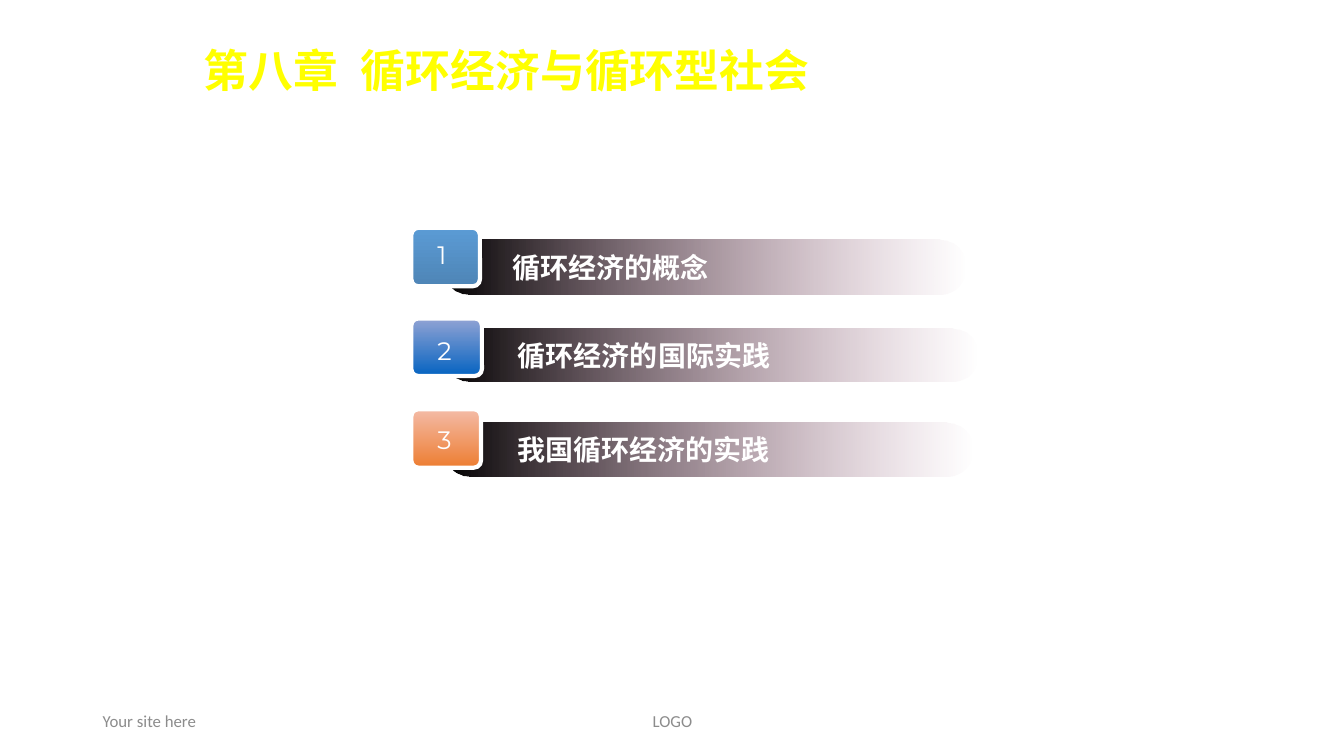
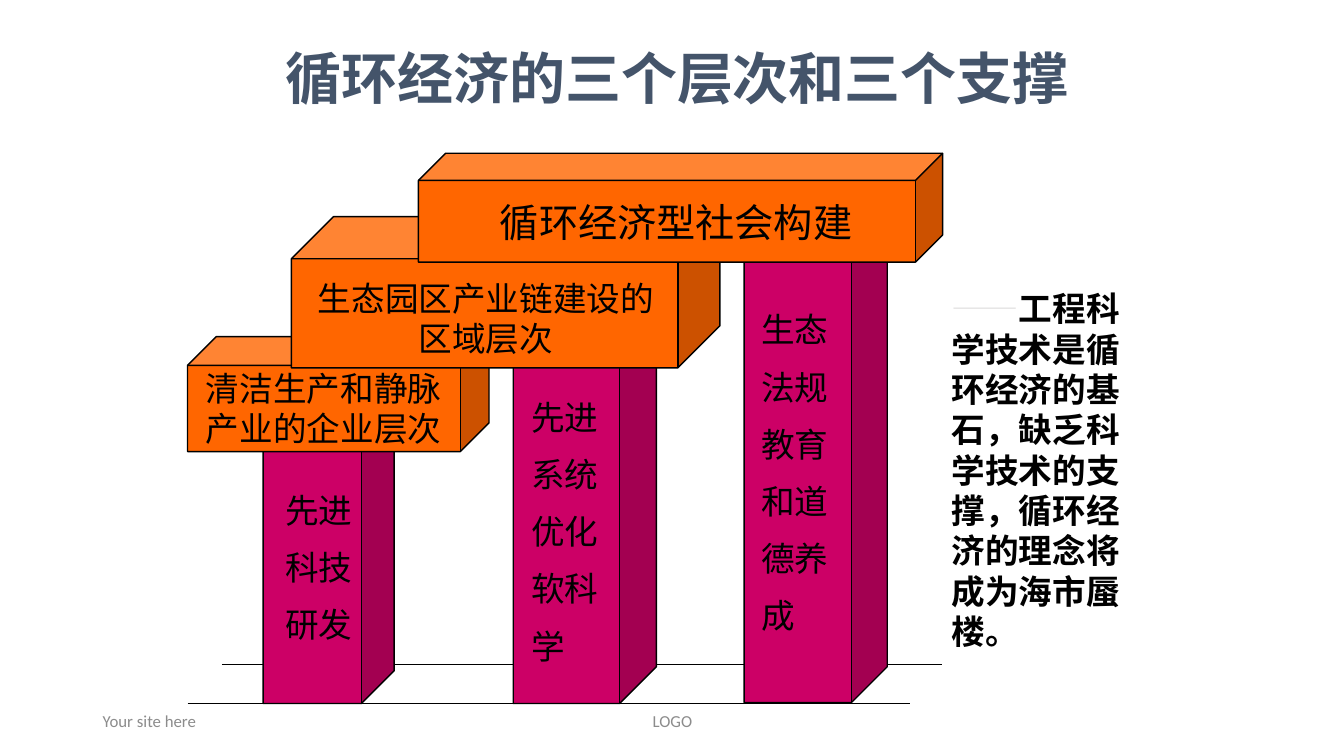
"""Build two slides on the circular economy and the circular society."""
from lxml import etree
from pptx import Presentation
from pptx.dml.color import RGBColor
from pptx.enum.lang import MSO_LANGUAGE_ID
from pptx.enum.shapes import MSO_CONNECTOR, MSO_SHAPE
from pptx.enum.text import MSO_ANCHOR, MSO_AUTO_SIZE, PP_ALIGN
from pptx.oxml import parse_xml
from pptx.oxml.ns import nsdecls, qn
from pptx.util import Inches, Pt

LEFT, CENTER = PP_ALIGN.LEFT, PP_ALIGN.CENTER
TOP, MIDDLE = MSO_ANCHOR.TOP, MSO_ANCHOR.MIDDLE
ROUNDED, CUBE = MSO_SHAPE.ROUNDED_RECTANGLE, MSO_SHAPE.CUBE
STRAIGHT = MSO_CONNECTOR.STRAIGHT
CHINESE = MSO_LANGUAGE_ID.SIMPLIFIED_CHINESE
NO_FIT = MSO_AUTO_SIZE.NONE

WIDTH, HEIGHT = 13.33, 7.5
SERIF = "Times New Roman"
BLACK, WHITE, GREY, PALE = "000000", "FFFFFF", "8C8C8C", "E7E6E6"
YELLOW, SLATE, PLUM = "FFFF00", "44546A", "954F72"
MAGENTA, ORANGE = "CC0066", "FF6600"

FOOTERS = [("LOGO", (4.42, 6.95, 4.5, 0.4), CENTER),
           ("Your site here", (0.92, 6.95, 3, 0.4), LEFT)]

CHAPTER = ["第八章", " ", "循环经济与循环型社会"]
SECTIONS = [
    dict(title="循环经济的概念", bar=(4.39, 2.38, 5.2, 0.54), indent=0.61,
         badge=(4.08, 2.26, 0.68, 0.58), number_top=2.33,
         colors=("5B9BD5", "4E85B6"), gloss=("BED0E9", "5B9BD5")),
    dict(title="循环经济的国际实践", bar=(4.4, 3.26, 5.3, 0.52), indent=0.66,
         badge=(4.08, 3.16, 0.7, 0.57), number_top=3.28,
         colors=("91A3D4", "0563C1"), gloss=("C9D0E7", "0563C1")),
    dict(title="我国循环经济的实践", bar=(4.4, 4.19, 5.25, 0.54), indent=0.65,
         badge=(4.08, 4.06, 0.69, 0.58), number_top=4.16,
         colors=("F4BBA7", "ED7D31"), gloss=("F6CDC1", "ED7D31")),
]
GLOSS_CURVES = [((0.2, 0), (0.09, 0), (0, 0.1), (0, 0.2)),
                ((0, 1), (0.06, 1), (0.03, 0.52), (0.26, 0.31)),
                ((0.26, 0.31), (0.53, 0.07), (1, 0.07), (1, 0))]

LEVELS_TITLE = "循环经济的三个层次和三个支撑"
PILLARS = [
    dict(cube=(2.61, 3.98, 1.3, 3), depth=0.25, label=(2.73, 4.81, 1.02, 1.72),
         lines=["先进", "科技", "研发"]),
    dict(cube=(5.09, 3.18, 1.42, 3.8), depth=0.257, label=(5.17, 3.89, 0.92, 2.93),
         lines=["先进", "系统", "优化", "软科", "学"]),
    dict(cube=(7.38, 2.07, 1.42, 4.9), depth=0.25, label=(7.45, 3.02, 1.17, 3.53),
         lines=["生态", "法规", "教育", "和道", "德养", "成"]),
]
BEAMS = [
    dict(cube=(1.86, 3.34, 2.99, 1.14), depth=0.25, label=(1.86, 3.6, 2.7, 0.9),
         lines=["清洁生产和静脉", "产业的企业层次"], size=24, align=CENTER),
    dict(cube=(2.89, 2.15, 4.25, 1.5), depth=0.278, label=(2.97, 2.7, 3.7, 0.91),
         lines=["生态园区产业链建设的区域层次"], size=24, align=CENTER),
    dict(cube=(4.15, 1.52, 5.2, 1.08), depth=0.25, label=(4.86, 1.92, 4.08, 0.57),
         lines=["循环经济型社会构建"], size=28, align=LEFT),
]
FRONT_GROUND = (1.86, 9.03, 6.98)
BACK_GROUND = (2.2, 9.34, 6.59)
REMARK = [("——", PALE),
          ("工程科学技术是循环经济的基石，缺乏科学技术的支撑，"
           "循环经济的理念将成为海市蜃楼。", BLACK)]


def rgb(code):
    """Turn a hex string into a colour."""
    return RGBColor.from_string(code)


def inches(values):
    """Turn numbers into lengths."""
    return [Inches(value) for value in values]


def add_span(para, text, size, color, font=SERIF, bold=False):
    """Add one formatted run."""
    span = para.add_run()
    span.text = text
    span.font.size, span.font.bold, span.font.name = Pt(size), bold, font
    span.font.color.rgb = rgb(color)
    span.font.language_id = CHINESE
    return span


def add_text(slide, area, lines, size, color, font=SERIF, align=LEFT,
             anchor=TOP, wrap=True, gap=0):
    """Add a text box with one paragraph a line."""
    frame = slide.shapes.add_textbox(*inches(area)).text_frame
    frame.word_wrap, frame.vertical_anchor = wrap, anchor
    for index, line in enumerate(lines):
        para = frame.add_paragraph() if index else frame.paragraphs[0]
        para.alignment = align
        if index:
            para.space_before = Pt(gap)
        add_span(para, line, size, color, font)
    return frame


def add_title(slide, area, parts, size, color, font):
    """Move and fill the title placeholder, widening any lone space."""
    title = slide.shapes.title
    title.left, title.top, title.width, title.height = inches(area)
    frame = title.text_frame
    frame.auto_size, frame.vertical_anchor = NO_FIT, MIDDLE
    para = frame.paragraphs[0]
    para.alignment = LEFT
    for part in parts:
        span = add_span(para, part, size, color, font, bold=True)
        if part == " ":
            span.font._element.set("spc", "890")


def add_page(deck):
    """Add a slide with the shared footers."""
    page = deck.slides.add_slide(deck.slide_layouts[5])
    for text, area, align in FOOTERS:
        add_text(page, area, [text], 12, GREY, "Calibri", align, MIDDLE)
    return page


def set_gradient(shape, start, end, angle, end_alpha=100):
    """Fill a shape with a two-stop linear gradient."""
    shape.fill.background()
    old = shape._element.spPr.find(qn("a:noFill"))
    gradient = parse_xml(
        f'<a:gradFill {nsdecls("a")} rotWithShape="1"><a:gsLst>'
        f'<a:gs pos="0"><a:srgbClr val="{start}"/></a:gs>'
        f'<a:gs pos="100000"><a:srgbClr val="{end}">'
        f'<a:alpha val="{end_alpha * 1000}"/></a:srgbClr></a:gs>'
        f'</a:gsLst><a:lin ang="{angle * 60000}" scaled="0"/></a:gradFill>')
    old.getparent().replace(old, gradient)


def add_solid(slide, kind, area, adjustment):
    """Add an adjusted preset shape without a shadow."""
    shape = slide.shapes.add_shape(kind, *inches(area))
    shape.adjustments[0] = adjustment
    shape.shadow.inherit = False
    return shape


def set_line(line, color, width):
    """Format an outline."""
    line.color.rgb, line.width = rgb(color), Pt(width)


def add_cube(slide, area, depth, color):
    """Add an outlined cube."""
    cube = add_solid(slide, CUBE, area, depth)
    cube.fill.solid()
    cube.fill.fore_color.rgb = rgb(color)
    set_line(cube.line, BLACK, 1)


def add_ground(slide, start, end, level):
    """Add a level ground line."""
    ground = slide.shapes.add_connector(STRAIGHT, *inches((start, level, end, level)))
    set_line(ground.line, BLACK, 1)
    etree.SubElement(ground._element.spPr, qn("a:effectLst"))


def curve_points(curve, steps=8):
    """Sample a cubic curve."""
    for step in range(steps + 1):
        t = step / steps
        weights = ((1 - t) ** 3, 3 * t * (1 - t) ** 2, 3 * t * t * (1 - t), t ** 3)
        yield tuple(sum(weight * point[axis] for weight, point in zip(weights, curve))
                    for axis in (0, 1))


def add_gloss(slide, badge, colors):
    """Add the light reflection in a badge's corner."""
    left, top, width, height = badge
    points = [(left + 0.04 + x * width / 2, top + 0.03 + y * height / 2)
              for curve in GLOSS_CURVES for x, y in curve_points(curve)]
    builder = slide.shapes.build_freeform(*points[0], scale=Inches(1))
    builder.add_line_segments(points[1:], close=True)
    gloss = builder.convert_to_shape()
    gloss.shadow.inherit = False
    gloss.line.fill.background()
    set_gradient(gloss, *colors, 45, 0)


def add_section(slide, number, section):
    """Add a numbered bar of the chapter outline."""
    bar = add_solid(slide, ROUNDED, section["bar"], 0.5)
    bar.line.fill.background()
    set_gradient(bar, BLACK, PLUM, 0, 0)
    frame = bar.text_frame
    frame.margin_left, frame.vertical_anchor = Inches(section["indent"]), MIDDLE
    frame.paragraphs[0].alignment = LEFT
    add_span(frame.paragraphs[0], section["title"], 20, WHITE, bold=True)
    badge = add_solid(slide, ROUNDED, section["badge"], 0.119)
    set_gradient(badge, *section["colors"], 90)
    set_line(badge.line, WHITE, 3)
    add_gloss(slide, section["badge"], section["gloss"])
    add_text(slide, (4.24, section["number_top"], 0.37, 0.4), [str(number)],
             18, WHITE, "Montserrat", wrap=False)


def build_outline(deck):
    """Build the chapter outline."""
    page = add_page(deck)
    add_title(page, (1.92, 0.37, 8.31, 0.64), CHAPTER, 32, YELLOW, "Arial")
    for number, section in enumerate(SECTIONS, 1):
        add_section(page, number, section)


def build_levels(deck):
    """Build the three levels resting on three pillars."""
    page = add_page(deck)
    add_title(page, (2.73, 0.38, 8.35, 0.77), [LEVELS_TITLE], 40, SLATE, SERIF)
    add_ground(page, *FRONT_GROUND)
    for pillar, beam in zip(PILLARS, BEAMS):
        add_cube(page, pillar["cube"], pillar["depth"], MAGENTA)
        add_cube(page, beam["cube"], beam["depth"], ORANGE)
        add_text(page, pillar["label"], pillar["lines"], 24, BLACK, gap=12)
    for beam in BEAMS:
        add_text(page, beam["label"], beam["lines"], beam["size"], BLACK,
                 align=beam["align"], anchor=MIDDLE)
    first, last, level = BACK_GROUND
    starts = [first] + [p["cube"][0] + p["cube"][2] for p in PILLARS]
    ends = [p["cube"][0] for p in PILLARS] + [last]
    for start, end in zip(starts, ends):
        add_ground(page, start, end, level)
    remark = add_text(page, (9.34, 2.81, 2.05, 3.73), [], 24, BLACK)
    for text, color in REMARK:
        add_span(remark.paragraphs[0], text, 24, color, bold=True)


def main():
    """Build and save the deck."""
    deck = Presentation()
    deck.slide_width, deck.slide_height = inches((WIDTH, HEIGHT))
    build_outline(deck)
    build_levels(deck)
    deck.save("out.pptx")


if __name__ == "__main__":
    main()
